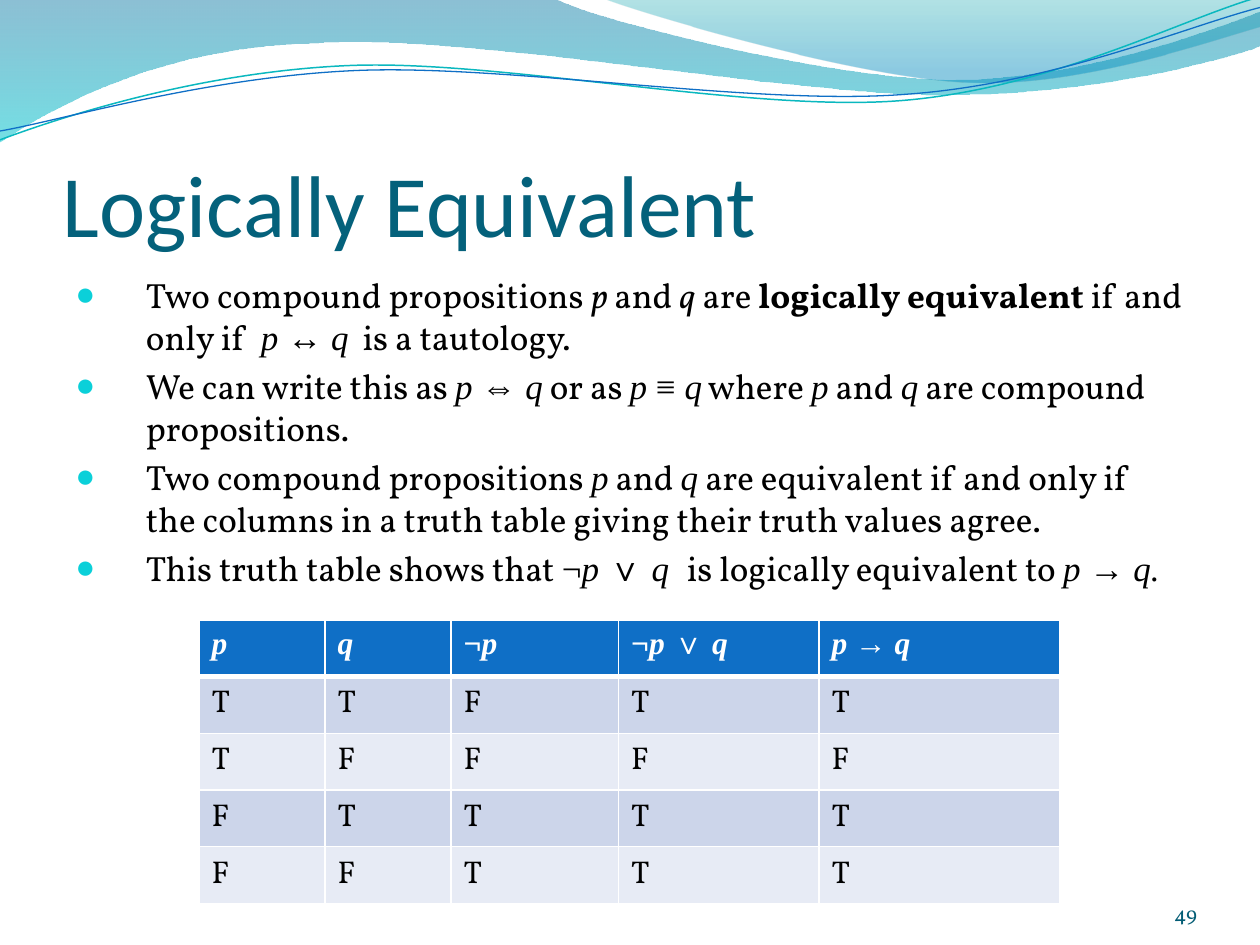
import math

from lxml import etree
from pptx import Presentation
from pptx import util as u
from pptx.dml.color import RGBColor
from pptx.enum import text
from pptx.oxml.ns import qn

Inches, Pt = u.Inches, u.Pt
COLORS = {
    "title": "04617B", "body": "000000", "bullet": "0BD0D9", "number": "045D75",
    "header": "0F6FC6", "odd_row": "CCD5EA", "even_row": "E7EBF5", "white": "FFFFFF",
    "teal_line": "0AB8BF", "blue_line": "0F6FC6",
    "wave_top": "0074A1", "wave_bottom": "00C6CF",
    "crest_top": "00A1A9", "crest_bottom": "008BBF",
}
STYLES = {
    "": {"name": "Vollkorn"},
    "b": {"name": "Vollkorn", "bold": True},
    "i": {"name": "Vollkorn", "italic": True},
    "m": {"name": "Times New Roman"},
    "mi": {"name": "Times New Roman", "italic": True},
    "mb": {"name": "Times New Roman", "bold": True},
    "mbi": {"name": "Times New Roman", "bold": True, "italic": True},
    "title": {"name": "Calibri"},
}


def write_runs(paragraph, runs, size, color):
    """Add (words, style key) pairs to the paragraph."""
    for words, style in runs:
        run = paragraph.add_run()
        run.text = words
        for attribute, value in STYLES[style].items():
            setattr(run.font, attribute, value)
        run.font.size = Pt(size)
        run.font.color.rgb = RGBColor.from_string(COLORS[color])


def add_curve(slide, start, segments, close):
    """Draw lines (2 numbers) and cubic curves (6 numbers) as one freeform."""
    builder = slide.shapes.build_freeform(Inches(start[0]), Inches(start[1]))
    for segment in segments:
        lengths = [Inches(value) for value in segment]
        builder.add_line_segments(list(zip(lengths[::2], lengths[1::2])), close=False)
    curve = builder.convert_to_shape()
    outline = next(curve._element.iter(qn("a:path")))
    steps = iter(outline.findall(qn("a:lnTo")))
    for segment in segments:
        group = [next(steps) for _ in range(len(segment) // 2)]
        if len(group) == 3:
            bezier = etree.Element(qn("a:cubicBezTo"))
            group[0].addprevious(bezier)
            for step in group:
                bezier.append(step[0])
                outline.remove(step)
    if close:
        etree.SubElement(outline, qn("a:close"))
    curve.shadow.inherit = False
    return curve


prs = Presentation()
prs.slide_width, prs.slide_height = Inches(10), Inches(7.5)
slide = prs.slides.add_slide(prs.slide_layouts[6])

# Waves along the top: start, segments, gradient stops (position, colour, opacity %)
waves = [
    ((0, 0), [(4.4, -0.01), (4.76, 0.17, 6.64, 0.63, 7.58, 0.63),
              (8.53, 0.63, 9.58, 0.26, 10, 0.09), (10.01, 0.36),
              (9.83, 0.44, 8.7, 0.76, 7.46, 0.75), (6.22, 0.75, 3.82, 0.28, 2.57, 0.34),
              (1.29, 0.36, 0.46, 0.83, -0.01, 1.13)],
     [(0, "wave_top", 45), (1, "wave_bottom", 55)]),
    ((4.79, -0.01), [(5.09, 0.11, 6.82, 0.62, 7.69, 0.65),
                     (8.56, 0.69, 9.61, 0.32, 10, 0.21), (10, 0)],
     [(0, "crest_top", 30), (0.8, "crest_bottom", 45)]),
]
for start, segments, stops in waves:
    wave = add_curve(slide, start, segments, close=True)
    wave.line.fill.background()
    wave.fill.gradient()
    wave.fill.gradient_angle = 270
    for stop, (position, color, _) in zip(wave.fill.gradient_stops, stops):
        stop.position = position
        stop.color.rgb = RGBColor.from_string(COLORS[color])
    for tint, (_, _, opacity) in zip(wave._element.spPr.iter(qn("a:srgbClr")), stops):
        etree.SubElement(tint, qn("a:alpha"), val=str(opacity * 1000))

# Thin ripples, laid out level around a centre and then tilted
TILT = 2.7
cos, sin = math.cos(math.radians(TILT)), math.sin(math.radians(TILT))
ripples = [
    ((4.99, 0.58), [(0, 1.11), (0.48, 0.93, 1.58, 0.57, 2.77, 0.52),
                    (3.95, 0.47, 5.93, 0.89, 7.13, 0.8),
                    (8.33, 0.71, 9.38, 0.15, 9.98, -0.02)], "teal_line", 0.85),
    ((5, 0.59), [(0, 1.04), (0.47, 0.96, 1.64, 0.61, 2.83, 0.56),
                 (4.03, 0.51, 5.97, 0.84, 7.17, 0.75),
                 (8.36, 0.67, 9.41, 0.21, 10, 0.06)], "blue_line", 0.75),
]
for (cx, cy), segments, color, width in ripples:
    level = []
    for segment in segments:
        offsets = [(x - cx, y - cy) for x, y in zip(segment[::2], segment[1::2])]
        level.append([value for x, y in offsets
                      for value in (cx + x * cos - y * sin, cy + x * sin + y * cos)])
    ripple = add_curve(slide, level[0], level[1:], close=False)
    ripple.rotation = 360 - TILT
    ripple.fill.background()
    ripple.line.color.rgb = RGBColor.from_string(COLORS[color])
    ripple.line.width = Pt(width)

# Title and page number
bottom = text.MSO_ANCHOR.BOTTOM
labels = [
    ((0.5, 0.77, 9, 1.25), "Logically Equivalent", "title", 50, "title", 0.05, text.PP_ALIGN.LEFT),
    ((8.67, 6.95, 0.83, 0.4), "49", "", 12, "number", 0, text.PP_ALIGN.RIGHT),
]
for place, words, style, size, color, top_margin, alignment in labels:
    frame = slide.shapes.add_textbox(*map(Inches, place)).text_frame
    frame_format = {"word_wrap": True, "vertical_anchor": bottom, "margin_left": 0,
                    "margin_right": 0, "margin_bottom": 0, "margin_top": Inches(top_margin)}
    for attribute, value in frame_format.items():
        setattr(frame, attribute, value)
    frame.paragraphs[0].alignment = alignment
    write_runs(frame.paragraphs[0], [(words, style)], size, color)

# Bulleted statements
statements = [
    [("Two compound propositions ", ""), ("p", "i"), (" and ", ""), ("q", "i"), (" are ", ""),
     ("logically equivalent ", "b"), ("if and only if  ", ""), ("p ", "mi"), ("↔ ", "m"),
     ("q", "mi"), ("  is a tautology.", "")],
    [("We can write this as ", ""), ("p ", "mi"), ("⇔ ", "m"), ("q", "mi"), (" or as ", ""),
     ("p ", "mi"), ("≡ ", "m"), ("q", "mi"), (" where ", ""), ("p", "mi"), (" and ", ""),
     ("q", "mi"), (" are compound propositions.", "")],
    [("Two compound propositions ", ""), ("p", "mi"), (" and ", ""), ("q", "mi"),
     (" are equivalent if and only if the columns in a truth table giving their truth "
      "values agree.", "")],
    [("This truth table shows that ", ""), ("¬", "m"), ("p ", "mi"), ("∨ ", "m"), ("q  ", "mi"),
     ("is logically equivalent to ", ""), ("p ", "mi"), ("→ ", "m"), ("q.", "mi")],
]
body = slide.shapes.add_textbox(Inches(0.5), Inches(2.12), Inches(9), Inches(4.8)).text_frame
body.word_wrap = True
for index, runs in enumerate(statements):
    paragraph = body.add_paragraph() if index else body.paragraphs[0]
    if index:
        paragraph.space_before = Pt(4)
    properties = paragraph._p.get_or_add_pPr()
    properties.set("marL", str(Inches(0.56)))
    properties.set("indent", str(-Inches(0.56)))
    bullet_color = etree.SubElement(properties, qn("a:buClr"))
    etree.SubElement(bullet_color, qn("a:srgbClr"), val=COLORS["bullet"])
    etree.SubElement(properties, qn("a:buSzPct"), val="95000")
    etree.SubElement(properties, qn("a:buFont"), typeface="Times New Roman")
    etree.SubElement(properties, qn("a:buChar"), char="●")
    write_runs(paragraph, runs, 20, "body")

# Truth table
headings = [
    [("p", "mbi")],
    [("q", "mbi")],
    [("¬", "mb"), ("p", "mbi")],
    [("¬", "mb"), ("p ", "mbi"), ("∨ ", "mb"), ("q", "mbi")],
    [("p ", "mbi"), ("→ ", "mb"), ("q", "mbi")],
]
truth_rows = ["TTFTT", "TFFFF", "FTTTT", "FFTTT"]
rows = [headings] + [[[(value, "")] for value in row] for row in truth_rows]
truth_table = slide.shapes.add_table(len(rows), len(headings), Inches(1.58), Inches(4.92),
                                     Inches(6.83), Inches(2.25)).table
for column, width in zip(truth_table.columns, (1, 1, 1.33, 1.59, 1.91)):
    column.width = Inches(width)
for r, row in enumerate(rows):
    fill = "header" if r == 0 else "odd_row" if r % 2 else "even_row"
    for c, runs in enumerate(row):
        cell = truth_table.cell(r, c)
        borders = {"L": 1, "R": 1, "T": 3 if r == 1 else 1, "B": 1 if r else 3}
        for side, width in borders.items():
            border = etree.SubElement(cell._tc.get_or_add_tcPr(), qn(f"a:ln{side}"),
                                      w=str(Pt(width)))
            paint = etree.SubElement(border, qn("a:solidFill"))
            etree.SubElement(paint, qn("a:srgbClr"), val=COLORS["white"])
        cell.fill.solid()
        cell.fill.fore_color.rgb = RGBColor.from_string(COLORS[fill])
        write_runs(cell.text_frame.paragraphs[0], runs, 18, "body" if r else "white")

prs.save("out.pptx")
